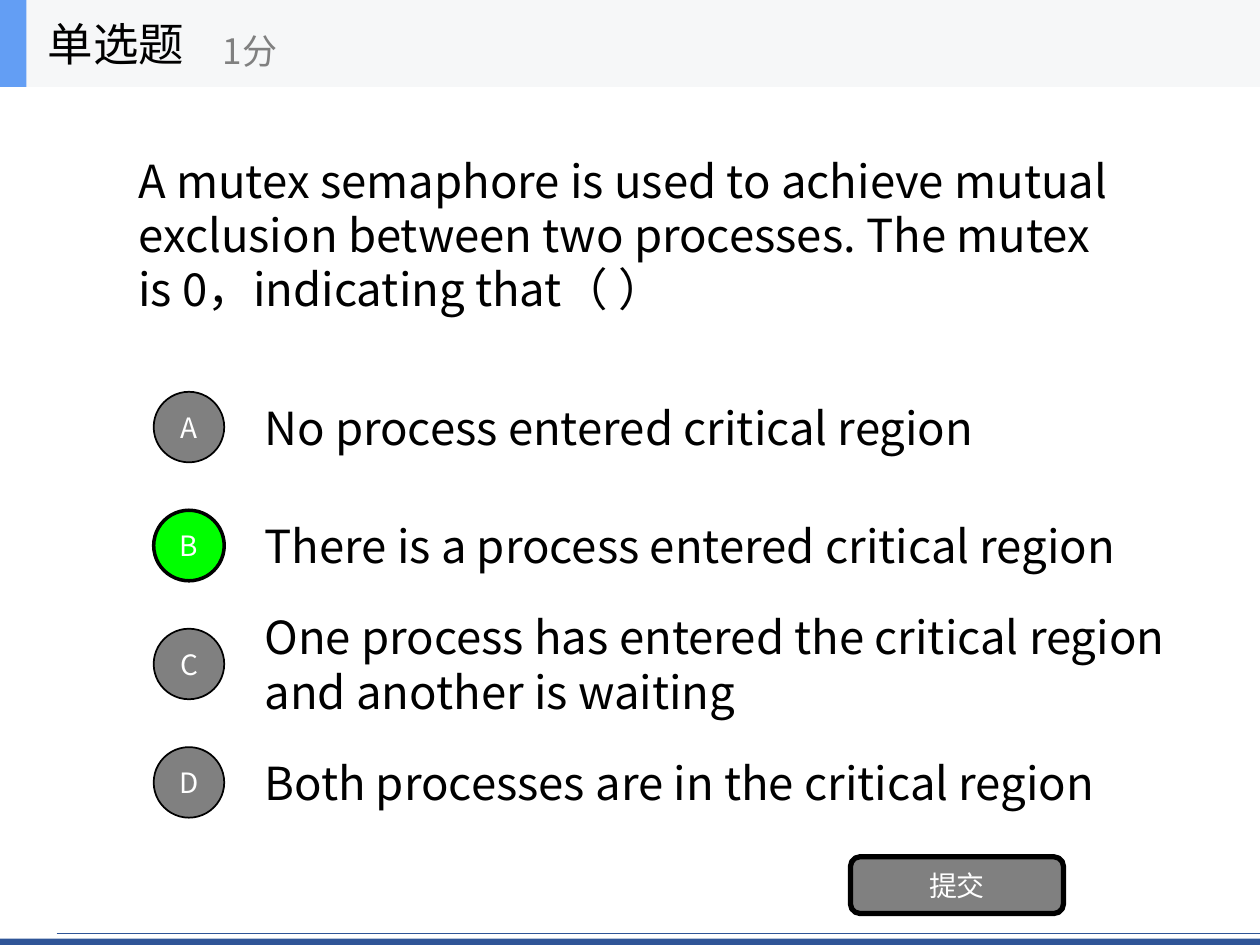
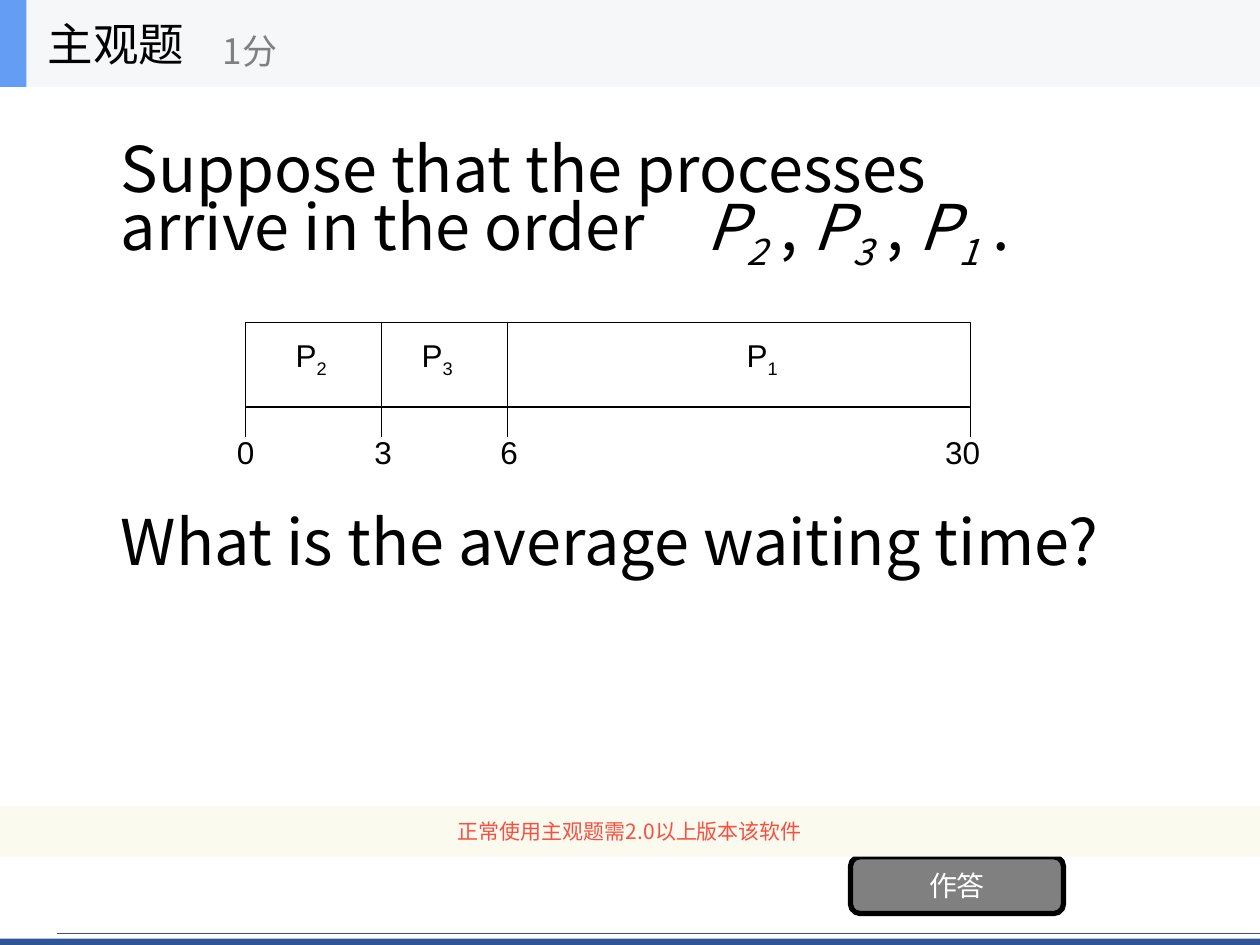
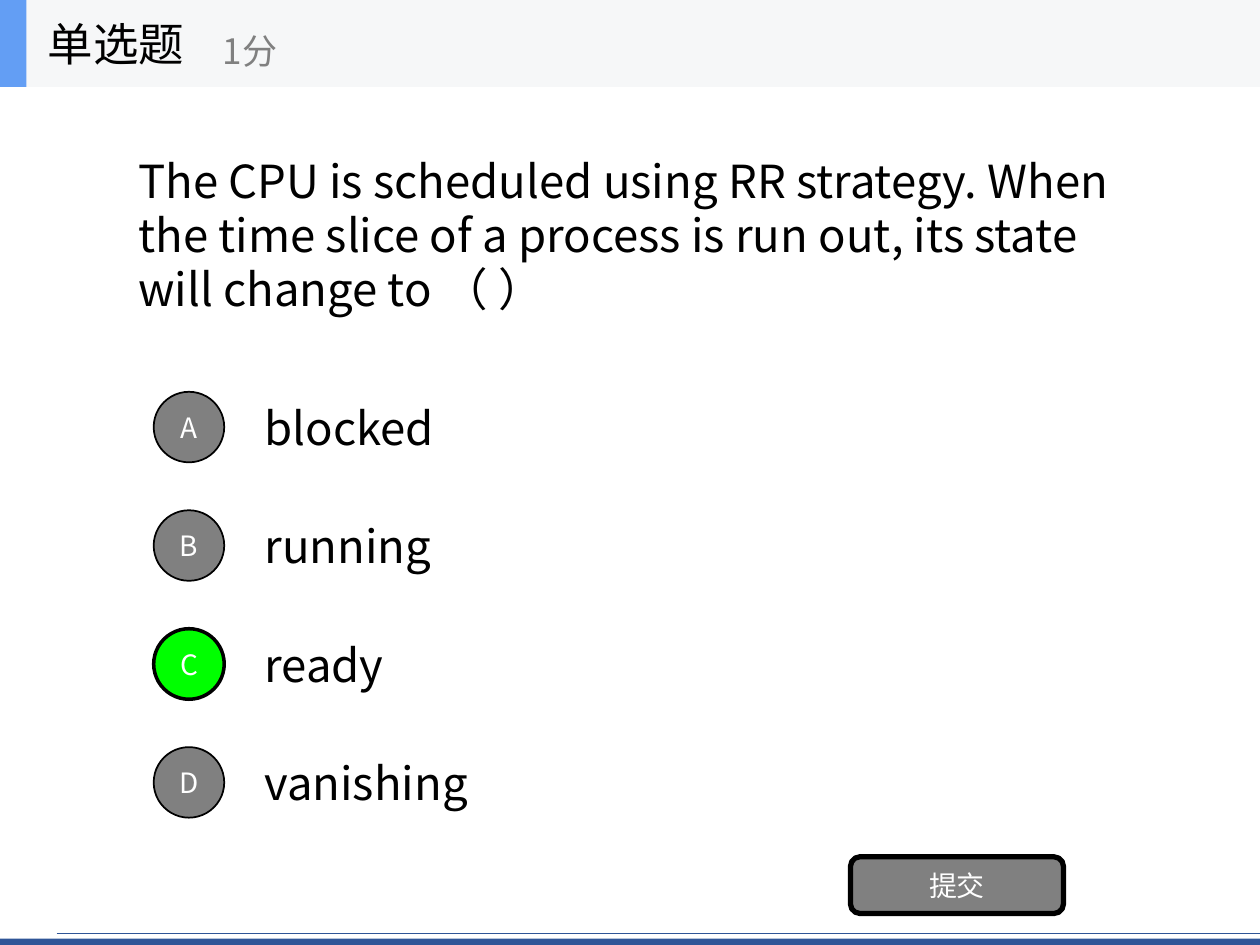
from lxml import etree
from pptx import Presentation
from pptx import util as u
from pptx.dml.color import RGBColor
from pptx.enum import shapes as kinds, text as txt
from pptx.oxml import ns

SCALE = 9144
WIDTH, HEIGHT = 1000, 750
SANS, ARIAL = "Noto Sans CJK SC", "Arial"
BLACK = RGBColor(0x00, 0x00, 0x00)
WHITE = RGBColor(0xFF, 0xFF, 0xFF)
GRAY = RGBColor(0x80, 0x80, 0x80)
GREEN = RGBColor(0x00, 0xFF, 0x00)
NAVY = RGBColor(0x2F, 0x55, 0x97)
SKY = RGBColor(0x63, 0x9E, 0xF4)
HEADER_GRAY = RGBColor(0xF6, 0xF7, 0xF8)
CREAM = RGBColor(0xFB, 0xFA, 0xEF)
RED = RGBColor(0xF8, 0x4F, 0x41)
LEFT, CENTER = txt.PP_ALIGN.LEFT, txt.PP_ALIGN.CENTER


def px(*lengths):
    return [u.Emu(length * SCALE) for length in lengths]


def style(paragraph, size, color=BLACK, face=SANS, align=LEFT, pitch=None):
    paragraph.alignment = align
    if pitch:
        paragraph.line_spacing = u.Pt(pitch)
    font = paragraph.font
    font.size, font.name = u.Pt(size), face
    font.color.rgb = color
    east_asian = etree.SubElement(font._element, ns.qn("a:ea"))
    east_asian.set("typeface", face)


def prepare(frame, wrap=True):
    frame.word_wrap = wrap
    frame.auto_size = txt.MSO_AUTO_SIZE.NONE
    frame.vertical_anchor = txt.MSO_ANCHOR.MIDDLE
    return frame.paragraphs[0]


def add_runs(paragraph, parts):
    for words, role in parts:
        run = paragraph.add_run()
        run.text = words
        if "i" in role:
            run.font.italic = True
        if "s" in role:
            run.font._element.set("baseline", "-25000")


def add_text(slide, box, words, size, wrap=True, **look):
    holder = slide.shapes.add_textbox(*px(*box))
    paragraph = prepare(holder.text_frame, wrap)
    paragraph.text = words
    style(paragraph, size, **look)
    return paragraph


def add_block(slide, kind, box, fill, border=0, words="", size=16, color=WHITE):
    block = slide.shapes.add_shape(kind, *px(*box))
    block.shadow.inherit = False
    block.fill.solid()
    block.fill.fore_color.rgb = fill
    if border:
        block.line.color.rgb = BLACK
        block.line.width = u.Pt(border)
    else:
        block.line.fill.background()
    if words:
        paragraph = prepare(block.text_frame, False)
        paragraph.text = words
        style(paragraph, size, color, align=CENTER)


def add_line(slide, start, end, color, width):
    line = slide.shapes.add_connector(kinds.MSO_CONNECTOR.STRAIGHT, *px(*start, *end))
    line.line.color.rgb = color
    line.line.width = u.Pt(width)
    etree.SubElement(line._element.spPr, ns.qn("a:effectLst"))


def add_header(slide, question_type, height=69):
    bar = kinds.MSO_SHAPE.RECTANGLE
    add_block(slide, bar, (0, 0, WIDTH, height), HEADER_GRAY)
    add_block(slide, bar, (0, 0, 21, height), SKY)
    title = slide.shapes.title
    title.left, title.top, title.width, title.height = px(28, 0, 208, height)
    heading = prepare(title.text_frame)
    heading.text = question_type
    style(heading, 26)
    slide.shapes._spTree.append(title._element)
    add_text(slide, (167, 12, 250, 56), "1分", 20, color=GRAY)


def add_footer(slide):
    add_block(slide, kinds.MSO_SHAPE.RECTANGLE, (0, HEIGHT - 5, WIDTH, 5), NAVY)
    add_line(slide, (45, HEIGHT - 9), (WIDTH, HEIGHT - 9), NAVY, 0.5)


def start_slide(deck, question_type, button):
    slide = deck.slides.add_slide(deck.slide_layouts[5])
    add_footer(slide)
    add_header(slide, question_type)
    add_block(slide, kinds.MSO_SHAPE.ROUNDED_RECTANGLE, (675, 680, 169, 45), GRAY, 3, button)
    return slide


def add_options(slide, left, top, options, answer, pitch=94, circle=56):
    for row, (letter, option) in enumerate(zip("ABCD", options)):
        y = top + row * pitch
        correct = letter == answer
        add_block(slide, kinds.MSO_SHAPE.OVAL, (left, y + 7, circle, circle),
                  GREEN if correct else GRAY, 2 if correct else 1, letter)
        add_text(slide, (left + 78, y, 739, 70), option, 26, pitch=31)


def choice_slide(deck, question, options, answer):
    slide = start_slide(deck, "单选题", "提交")
    add_text(slide, (100, 69, 800, 234), question, 26, pitch=31)
    add_options(slide, 122, 304, options, answer)


def add_gantt(slide, left, top, width, height):
    add_block(slide, kinds.MSO_SHAPE.RECTANGLE, (left, top, width, height), WHITE, 0.75)
    for number, center in (("2", 52), ("3", 152), ("1", 410)):
        process = add_text(slide, (left + center - 23, top + 8, 46, 40), "", 18,
                           False, face=ARIAL, align=CENTER)
        add_runs(process, [("P", ""), (number, "s")])
    for time, tick, center in (("0", 0, 0), ("3", 108, 109), ("6", 208, 209), ("30", width, 569)):
        x = left + tick
        add_line(slide, (x, top), (x, top + height + 24), BLACK, 0.75)
        add_text(slide, (left + center - 24, top + height + 16, 48, 40), time, 18,
                 False, face=ARIAL, align=CENTER)


def add_scheduling_question(slide, box):
    order = add_text(slide, box, "", 36, pitch=39)
    properties = order._p.get_or_add_pPr()
    tabs = etree.Element(ns.qn("a:tabLst"))
    tab = etree.SubElement(tabs, ns.qn("a:tab"))
    tab.set("pos", str(465 * SCALE))
    tab.set("algn", "l")
    properties.find(ns.qn("a:defRPr")).addprevious(tabs)
    add_runs(order, [("Suppose that the processes arrive in the order\t", "")])
    for number, separator in (("2", " , "), ("3", " , "), ("1", " .")):
        add_runs(order, [("P", "i"), (number, "is"), (separator, "")])
    waiting = order._parent.add_paragraph()
    waiting.text = "What is the average waiting time?"
    waiting.space_before = u.Pt(135)
    style(waiting, 36, pitch=39)


def open_slide(deck):
    slide = start_slide(deck, "主观题", "作答")
    add_block(slide, kinds.MSO_SHAPE.RECTANGLE, (0, 640, WIDTH, 40), CREAM,
              words="正常使用主观题需2.0以上版本该软件", size=12, color=RED)
    add_scheduling_question(slide, (86, 125, 800, 317))
    add_gantt(slide, 195, 256, 575, 67)


def main():
    deck = Presentation()
    deck.slide_width, deck.slide_height = px(WIDTH, HEIGHT)
    choice_slide(
        deck,
        "A mutex semaphore is used to achieve mutual exclusion between two processes. "
        "The mutex is 0，indicating that（ ）",
        ["No process entered critical region",
         "There is a process entered critical region",
         "One process has entered the critical region and another is waiting",
         "Both processes are in the critical region"],
        "B")
    open_slide(deck)
    choice_slide(
        deck,
        "The CPU is scheduled using RR strategy. When the time slice of a process "
        "is run out, its state will change to （ ）",
        ["blocked", "running", "ready", "vanishing"],
        "C")
    deck.save("out.pptx")


if __name__ == "__main__":
    main()
